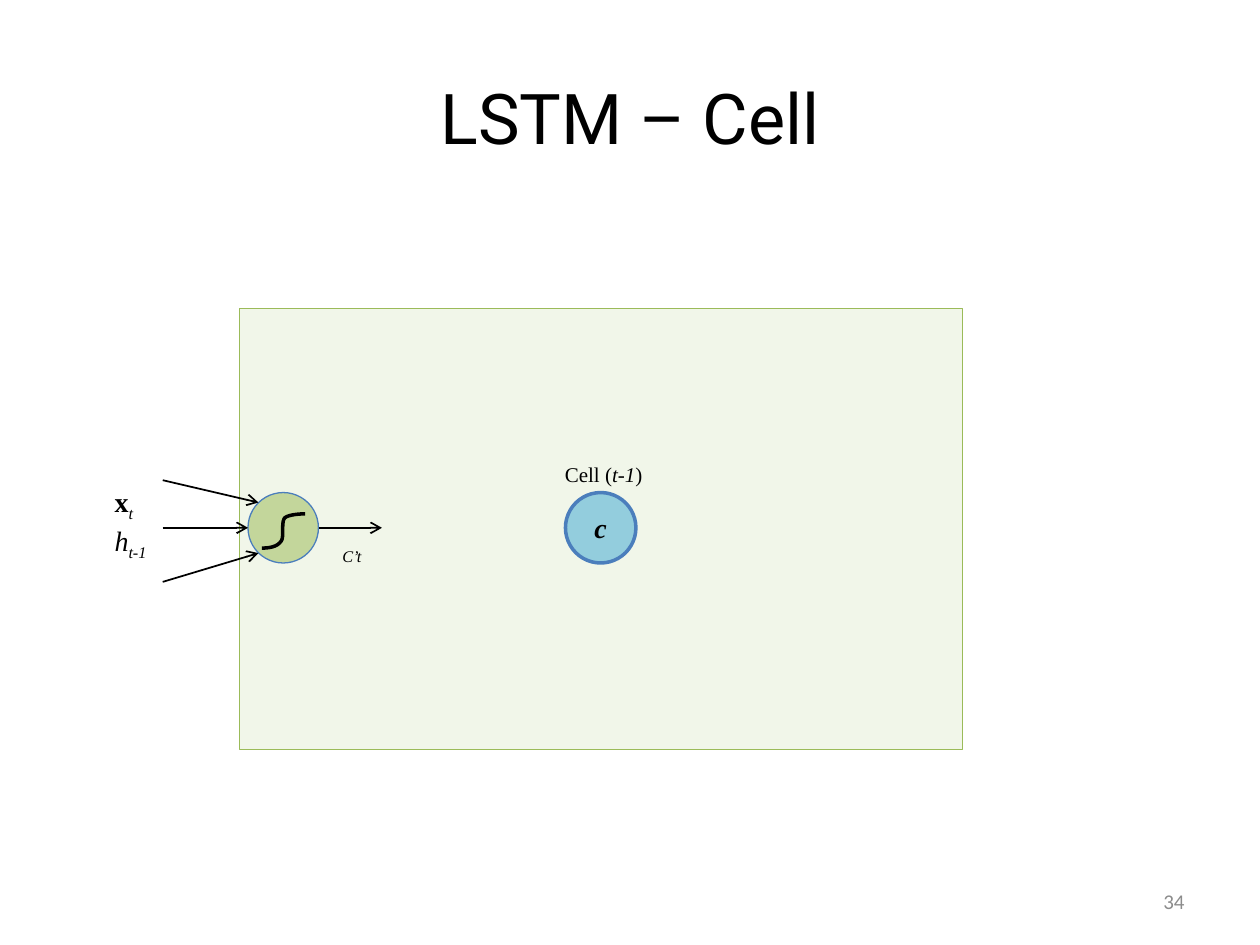
"""Build the LSTM cell slide."""
from dataclasses import dataclass, field

import lxml.etree
import pptx
import pptx.dml.color
import pptx.enum.shapes
import pptx.enum.text
import pptx.oxml.ns
import pptx.util

Cm, Pt = pptx.util.Cm, pptx.util.Pt
RGBColor = pptx.dml.color.RGBColor
ALIGN = pptx.enum.text.PP_ALIGN
ANCHOR = pptx.enum.text.MSO_ANCHOR
SHAPE = pptx.enum.shapes.MSO_SHAPE
qn = pptx.oxml.ns.qn

BLACK = RGBColor(0x00, 0x00, 0x00)
GRAY = RGBColor(0x8C, 0x8C, 0x8C)
PALE_GREEN = RGBColor(0xD7, 0xE4, 0xBD)
GREEN = RGBColor(0xC3, 0xD6, 0x9B)
GREEN_LINE = RGBColor(0x9B, 0xBB, 0x59)
CYAN = RGBColor(0x93, 0xCD, 0xDD)
BLUE_LINE = RGBColor(0x4B, 0x7E, 0xBC)
SERIF = "Times New Roman"
SUBSCRIPT = "-25000"
DIAMETER, CENTER_Y = 1.42, 10.64
CIRCLE_TOP = CENTER_Y - DIAMETER / 2
INPUT_X = 3.28
STEPS = 12


@dataclass
class Run:
    text: str
    format: dict = field(default_factory=dict)
    sub: bool = False


@dataclass
class Label:
    box: tuple
    paragraphs: list
    size: float
    align: ALIGN = ALIGN.CENTER
    anchor: ANCHOR = ANCHOR.TOP
    font: str = SERIF
    color: RGBColor = BLACK
    wrap: bool = False


@dataclass
class Block:
    kind: SHAPE
    box: tuple
    fill: RGBColor
    line: RGBColor
    width: float
    alpha: int = 100


@dataclass
class Arrow:
    start: tuple
    end: tuple


ITALIC = {"italic": True}
BOLD = {"bold": True}

CELL_BODY = Block(SHAPE.RECTANGLE, (4.83, 6.22, 14.58, 8.89), PALE_GREEN, GREEN_LINE, 0.75, 33)
INPUT_UNIT = Block(SHAPE.OVAL, (5, CIRCLE_TOP, DIAMETER, DIAMETER), GREEN, BLUE_LINE, 0.75)
MEMORY = Block(SHAPE.OVAL, (11.4, CIRCLE_TOP, DIAMETER, DIAMETER), CYAN, BLUE_LINE, 2)

SIGMOID_START = (5.28, 11.05)
SIGMOID = [
    ((5.44, 11.05), (5.59, 11.02), (5.66, 10.92)),
    ((5.74, 10.85), (5.66, 10.54), (5.74, 10.44)),
    ((5.84, 10.36), (6.15, 10.36), (6.15, 10.36)),
]

ARROWS = [
    Arrow((6.43, CENTER_Y), (7.7, CENTER_Y)),
    Arrow((INPUT_X, 9.68), (5.21, 10.13)),
    Arrow((INPUT_X, CENTER_Y), (5, CENTER_Y)),
    Arrow((INPUT_X, 11.73), (5.21, 11.15)),
]

LABELS = [
    Label((1.27, 0.76, 22.86, 3.18), [[Run("LSTM – Cell")]], 40,
          anchor=ANCHOR.MIDDLE, font="Roboto", wrap=True),
    Label(MEMORY.box, [[Run("c", BOLD | ITALIC)]], 16, anchor=ANCHOR.MIDDLE),
    Label((11.05, 9.17, 2.24, 0.76), [[Run("Cell ("), Run("t-1", ITALIC), Run(")")]], 12),
    Label((6.55, 10.52, 1.09, 0.71), [[Run("C’t", ITALIC, sub=True)]], 16),
    Label((18.21, 17.65, 5.92, 1.02), [[Run("34")]], 12, ALIGN.RIGHT, ANCHOR.MIDDLE,
          "Calibri", GRAY, True),
    Label((2.06, 9.65, 1.4, 2.08),
          [[Run("x", BOLD), Run("t", ITALIC, sub=True)],
           [Run("h", ITALIC), Run("t-1", ITALIC, sub=True)]], 16, ALIGN.JUSTIFY),
]


def write_text(tf, label: Label) -> None:
    for name, value in {"word_wrap": label.wrap, "vertical_anchor": label.anchor}.items():
        setattr(tf, name, value)
    for i, runs in enumerate(label.paragraphs):
        p = tf.add_paragraph() if i else tf.paragraphs[0]
        p.alignment = label.align
        for run in runs:
            r = p.add_run()
            r.text = run.text
            r.font.color.rgb = label.color
            base = {"name": label.font, "size": Pt(label.size)}
            for name, value in (base | run.format).items():
                setattr(r.font, name, value)
            if run.sub:
                r._r.get_or_add_rPr().set("baseline", SUBSCRIPT)


def add_label(s, label: Label) -> None:
    write_text(s.shapes.add_textbox(*map(Cm, label.box)).text_frame, label)


def set_line(sp, color: RGBColor, width: float) -> None:
    sp.line.color.rgb = color
    sp.line.width = Pt(width)


def add_block(s, block: Block):
    sp = s.shapes.add_shape(block.kind, *map(Cm, block.box))
    sp.shadow.inherit = False
    sp.fill.solid()
    sp.fill.fore_color.rgb = block.fill
    if block.alpha < 100:
        color = sp._element.spPr.find(qn("a:solidFill"))[0]
        lxml.etree.SubElement(color, qn("a:alpha"), val=str(block.alpha * 1000))
    set_line(sp, block.line, block.width)
    return sp


def add_arrow(s, arrow: Arrow) -> None:
    kind = pptx.enum.shapes.MSO_CONNECTOR.STRAIGHT
    sp = s.shapes.add_connector(kind, *map(Cm, arrow.start + arrow.end))
    set_line(sp, BLACK, 1)
    lxml.etree.SubElement(sp.line._get_or_add_ln(), qn("a:tailEnd"), type="arrow")
    lxml.etree.SubElement(sp._element.spPr, qn("a:effectLst"))


def bezier(points: tuple, t: float) -> tuple:
    weights = ((1 - t) ** 3, 3 * t * (1 - t) ** 2, 3 * t ** 2 * (1 - t), t ** 3)
    return tuple(Cm(sum(w * v for w, v in zip(weights, axis))) for axis in zip(*points))


def add_curve(s, start: tuple, segments: list) -> None:
    builder = s.shapes.build_freeform(*map(Cm, start))
    for segment in segments:
        points = [bezier((start, *segment), i / STEPS) for i in range(1, STEPS + 1)]
        builder.add_line_segments(points, close=False)
        start = segment[-1]
    sp = builder.convert_to_shape()
    sp.shadow.inherit = False
    sp.fill.background()
    set_line(sp, BLACK, 2)


def main() -> None:
    prs = pptx.Presentation()
    prs.slide_width, prs.slide_height = Cm(25.4), Cm(19.05)
    s = prs.slides.add_slide(prs.slide_layouts[6])
    title, memory_label, *labels = LABELS
    add_block(s, CELL_BODY)
    add_label(s, title)
    add_block(s, INPUT_UNIT)
    add_curve(s, SIGMOID_START, SIGMOID)
    write_text(add_block(s, MEMORY).text_frame, memory_label)
    for arrow in ARROWS:
        add_arrow(s, arrow)
    for label in labels:
        add_label(s, label)
    prs.save("out.pptx")


if __name__ == "__main__":
    main()
